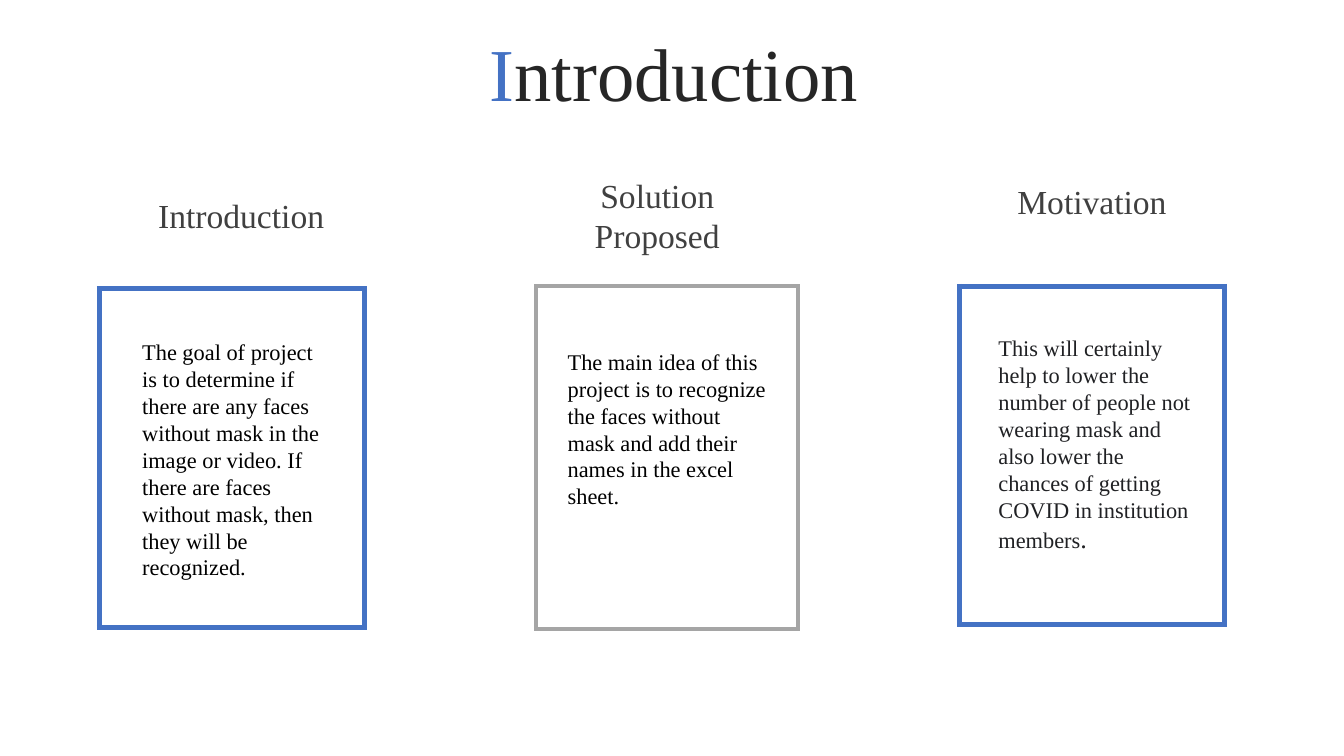
from lxml.etree import SubElement
from pptx import Presentation
from pptx.dml.color import RGBColor
from pptx.enum.text import MSO_ANCHOR as Anchor, MSO_AUTO_SIZE as AutoSize, PP_ALIGN as Align
from pptx.oxml.ns import qn
from pptx.util import Inches, Pt

BLUE, GRAY, BLACK = "4472C4", "A5A5A5", "000000"
HEADING, DARK, INK = "404040", "262626", "202124"


def color(code):
    return RGBColor.from_string(code)


class Deck:
    font = "Times New Roman"
    grid_columns = 100

    def __init__(self, width):
        self.presentation = Presentation()
        self.presentation.slide_width = Inches(width)
        self.presentation.slide_height = Inches(width) * 9 // 16
        self.step = Inches(width) / self.grid_columns
        self.slide = self.presentation.slides.add_slide(self.presentation.slide_layouts[5])

    def span(self, *cells):
        return [round(cell * self.step) for cell in cells]

    def style(self, paragraph, size, ink, align=Align.LEFT):
        paragraph.alignment = align
        paragraph.font.name = self.font
        paragraph.font.size = Pt(size)
        paragraph.font.color.rgb = color(ink)

    def title(self, area, initial, rest):
        title = self.slide.shapes.title
        title.left, title.top, title.width, title.height = self.span(*area)
        frame = title.text_frame
        frame.auto_size = AutoSize.NONE
        frame.vertical_anchor = Anchor.MIDDLE
        heading = frame.paragraphs[0]
        self.style(heading, 40, DARK, Align.CENTER)
        heading.line_spacing = 0.9
        heading.space_before = Pt(7.5)
        for letters, ink in ((initial, BLUE), (rest, DARK)):
            run = heading.add_run()
            run.text = letters
            run.font.color.rgb = color(ink)

    def text(self, area, words, size, ink, align=Align.LEFT, inset=1):
        frame = self.slide.shapes.add_textbox(*self.span(*area)).text_frame
        frame.word_wrap = True
        frame.auto_size = AutoSize.SHAPE_TO_FIT_TEXT
        frame.margin_left, frame.margin_right = self.span(inset, inset)
        paragraph = frame.paragraphs[0]
        paragraph.text = words
        self.style(paragraph, size, ink, align)
        return paragraph

    def border(self, cell, edges, ink, weight):
        cell.fill.background()
        properties = cell._tc.get_or_add_tcPr()
        for index, edge in enumerate("LRTB"):
            line = SubElement(properties, qn(f"a:ln{edge}"))
            properties.insert(index, line)
            if edge in edges:
                line.set("w", str(Pt(weight)))
                paint = SubElement(line, qn("a:solidFill"))
                SubElement(paint, qn("a:srgbClr"), val=ink)
            else:
                SubElement(line, qn("a:noFill"))

    def panel(self, left, top, widths, heights, ink, weight):
        area = self.span(left, top, sum(widths), sum(heights))
        table = self.slide.shapes.add_table(len(heights), len(widths), *area).table
        for column, width in zip(table.columns, self.span(*widths)):
            column.width = width
        for row, height in zip(table.rows, self.span(*heights)):
            row.height = height
        table.cell(0, 0).merge(table.cell(0, len(widths) - 1))
        for cell, edges in zip(table.iter_cells(), ("LRT", "LRT", "LRT", "LB", "B", "RB")):
            cell.margin_left = cell.margin_right = 0
            cell.margin_top = cell.margin_bottom = 0
            self.style(cell.text_frame.paragraphs[0], 8, BLACK)
            self.border(cell, edges, ink, weight)

    def save(self):
        self.presentation.save("out.pptx")


def main():
    deck = Deck(10)
    deck.title((2.7, 2.8, 94.9, 5.9), "I", "ntroduction")

    for area, heading in (
        ((10, 14, 15.9, 4), "Introduction"),
        ((40.45, 12.5, 16.9, 7.1), "Solution Proposed"),
        ((73.3, 13, 15.9, 4), "Motivation"),
    ):
        deck.text(area, heading, 18, HEADING, Align.CENTER, inset=0)

    outer = (2.1, 14.75, 2.85), (23.1, 2.1), BLUE, 3
    middle = (2.1, 15, 2.4), (20.8, 4.7), GRAY, 2.25
    for left, top, frame in ((7.4, 21.5, outer), (39.9, 21.3, middle), (71.4, 21.3, outer)):
        deck.panel(left, top, *frame)

    deck.text(
        (9.6, 24.7, 15.4, 19.2),
        "The goal of project is to determine if there are any faces without mask in the "
        "image or video. If there are faces without mask, then they will be recognized.",
        12, BLACK,
    )
    deck.text(
        (41.25, 25.4, 16.9, 13.1),
        "The main idea of this project is to recognize the faces without mask and add "
        "their names in the excel sheet.",
        12, BLACK,
    )
    motivation = deck.text(
        (73.3, 24.4, 16.9, 19.5),
        "This will certainly help to lower the number of people not wearing mask and also "
        "lower the chances of getting COVID in institution members",
        12, INK,
    )
    full_stop = motivation.add_run()
    full_stop.text = "."
    full_stop.font.size = Pt(14)
    deck.save()


if __name__ == "__main__":
    main()
